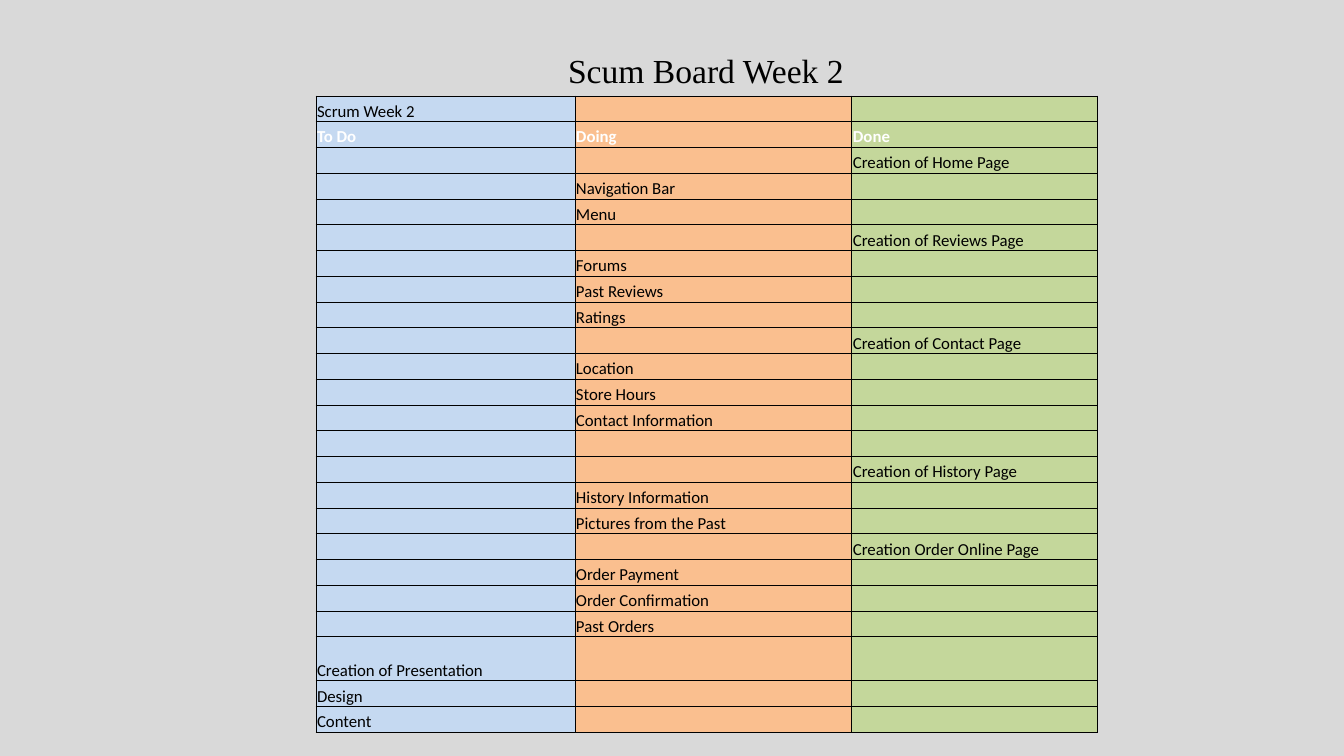
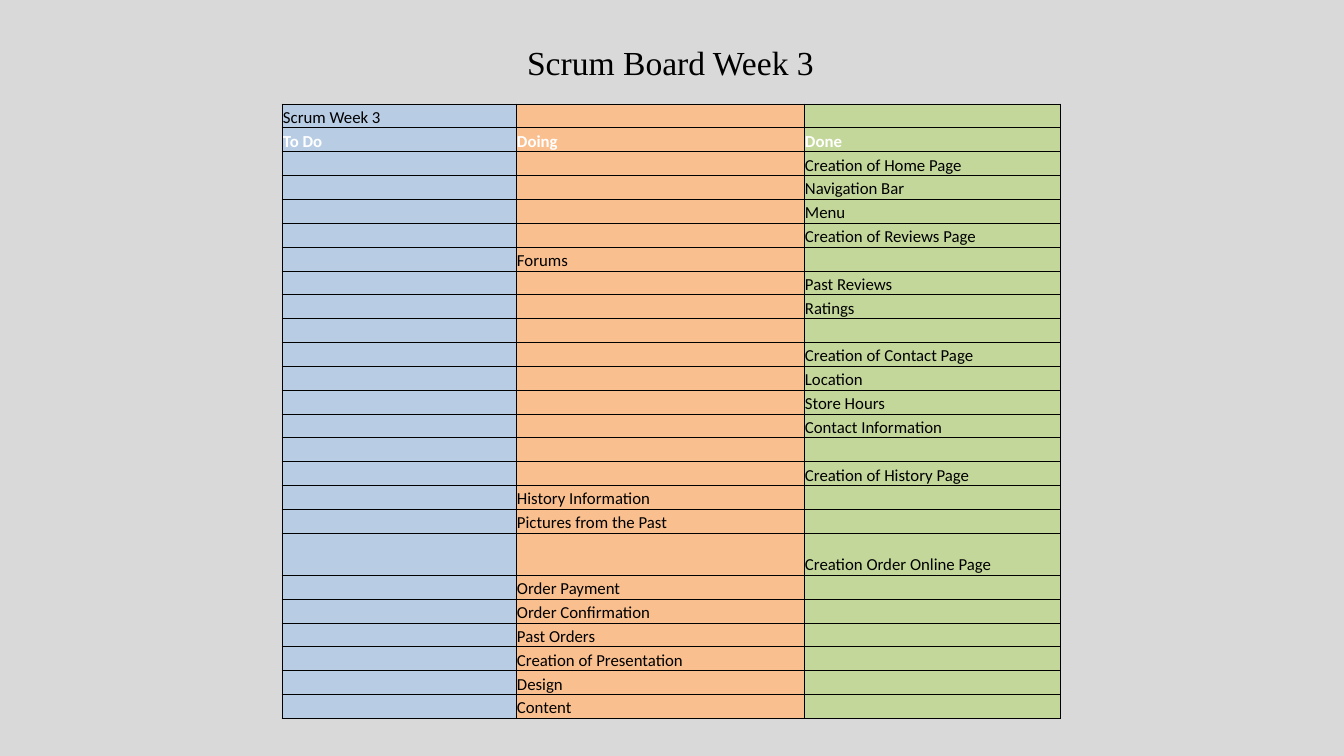
from lxml.etree import SubElement
from pptx import Presentation
from pptx.dml.color import RGBColor
from pptx.enum.text import MSO_ANCHOR, MSO_AUTO_SIZE, PP_ALIGN
from pptx.oxml.ns import qn
from pptx.util import Emu, Pt

BLACK = RGBColor(0x00, 0x00, 0x00)
WHITE = RGBColor(0xFF, 0xFF, 0xFF)
GREY = RGBColor(0xD9, 0xD9, 0xD9)
SKY = RGBColor(0xC5, 0xD9, 0xF1)
STEEL = RGBColor(0xB8, 0xCC, 0xE4)
ORANGE = RGBColor(0xFA, 0xBF, 0x8F)
GREEN = RGBColor(0xC4, 0xD7, 0x9B)

TO_DO, DOING, DONE = range(3)
HEADINGS = ["To Do", "Doing", "Done"]

WEEK_2 = [
    (DONE, ["Creation of Home Page"]),
    (DOING, ["Navigation Bar", "Menu"]),
    (DONE, ["Creation of Reviews Page"]),
    (DOING, ["Forums", "Past Reviews", "Ratings"]),
    (DONE, ["Creation of Contact Page"]),
    (DOING, ["Location", "Store Hours", "Contact Information"]),
    (DONE, ["", "Creation of History Page"]),
    (DOING, ["History Information", "Pictures from the Past"]),
    (DONE, ["Creation Order Online Page"]),
    (DOING, ["Order Payment", "Order Confirmation", "Past Orders"]),
    (TO_DO, ["Creation of Presentation", "Design", "Content"]),
]
WEEK_3 = [
    (DONE, ["Creation of Home Page", "Navigation Bar", "Menu", "Creation of Reviews Page"]),
    (DOING, ["Forums"]),
    (DONE, ["Past Reviews", "Ratings", "", "Creation of Contact Page", "Location",
            "Store Hours", "Contact Information", "", "Creation of History Page"]),
    (DOING, ["History Information", "Pictures from the Past"]),
    (DONE, ["Creation Order Online Page"]),
    (DOING, ["Order Payment", "Order Confirmation", "Past Orders",
             "Creation of Presentation", "Design", "Content"]),
]


def px(n):
    """Turn pixels into EMU."""
    return Emu(round(n * 12192000 / 1344))


def board_rows(name, groups):
    """List the rows of a board, each with one text per column."""
    tasks = [[text if c == column else "" for c in range(3)]
             for column, texts in groups for text in texts]
    return [[name, "", ""], HEADINGS] + tasks


class Deck:
    """Holds the style, the presentation and the current slide."""

    def __init__(self):
        """Start a wide presentation on a grey background."""
        self.prs = Presentation()
        self.prs.slide_width, self.prs.slide_height = px(1344), px(756)
        fill = self.prs.slide_master.background.fill
        fill.solid()
        fill.fore_color.rgb = GREY

    def slide(self):
        """Add a title-only slide."""
        self.s = self.prs.slides.add_slide(self.prs.slide_layouts[5])

    def font(self, p, name, size, color, bold=False):
        """Set the font of a paragraph."""
        p.font.name, p.font.size, p.font.bold = name, Pt(size), bold
        p.font.color.rgb = color

    def title(self, text, x, y, w):
        """Place and format the slide title."""
        sp = self.s.shapes.title
        sp.left, sp.top, sp.width, sp.height = px(x), px(y), px(w), px(50)
        tf = sp.text_frame
        tf.text = text
        tf.auto_size = MSO_AUTO_SIZE.NONE
        tf.vertical_anchor = MSO_ANCHOR.TOP
        p = tf.paragraphs[0]
        p.alignment = PP_ALIGN.LEFT
        self.font(p, "Times New Roman", 24, BLACK)

    def cell(self, cell, text, fill, color, bold):
        """Fill, border and write one table cell."""
        tcPr = cell._tc.get_or_add_tcPr()
        for side in ("a:lnL", "a:lnR", "a:lnT", "a:lnB"):
            ln = SubElement(tcPr, qn(side), w=str(Pt(0.75)))
            SubElement(SubElement(ln, qn("a:solidFill")), qn("a:srgbClr"), val=str(BLACK))
        cell.fill.solid()
        cell.fill.fore_color.rgb = fill
        cell.margin_left = cell.margin_right = cell.margin_top = px(1)
        cell.margin_bottom = 0
        cell.vertical_anchor = MSO_ANCHOR.BOTTOM
        p = cell.text_frame.paragraphs[0]
        if text:
            p.text = text
        else:
            p._p.get_or_add_endParaRPr().set("sz", "1200")
        self.font(p, "Calibri", 12, color, bold)

    def board(self, rows, x, y, h, widths, fills, tall, tall_h):
        """Add a board with equal rows, save for the one holding the tall text."""
        frame = self.s.shapes.add_table(len(rows), 3, px(x), px(y), px(sum(widths)), px(h))
        table = frame.table
        table.first_row = table.horz_banding = False
        for column, width in zip(table.columns, widths):
            column.width = px(width)
        row_h = (h - tall_h) / (len(rows) - 1)
        for i, texts in enumerate(rows):
            table.rows[i].height = px(tall_h if tall in texts else row_h)
            heading = texts is HEADINGS
            for j, text in enumerate(texts):
                self.cell(table.cell(i, j), text, fills[j], WHITE if heading else BLACK, heading)


def main():
    """Build and save the two boards."""
    deck = Deck()
    deck.slide()
    deck.title("Scum Board Week 2", 558, 45, 361)
    deck.board(board_rows("Scrum Week 2", WEEK_2), 316, 96, 637, [259, 277, 246],
               [SKY, ORANGE, GREEN], "Creation of Presentation", 44)
    deck.slide()
    deck.title("Scrum Board Week 3", 517, 37, 355)
    deck.board(board_rows("Scrum Week 3", WEEK_3), 282, 104, 615, [234, 288, 257],
               [STEEL, ORANGE, GREEN], "Creation Order Online Page", 42)
    deck.prs.save("out.pptx")


if __name__ == "__main__":
    main()
